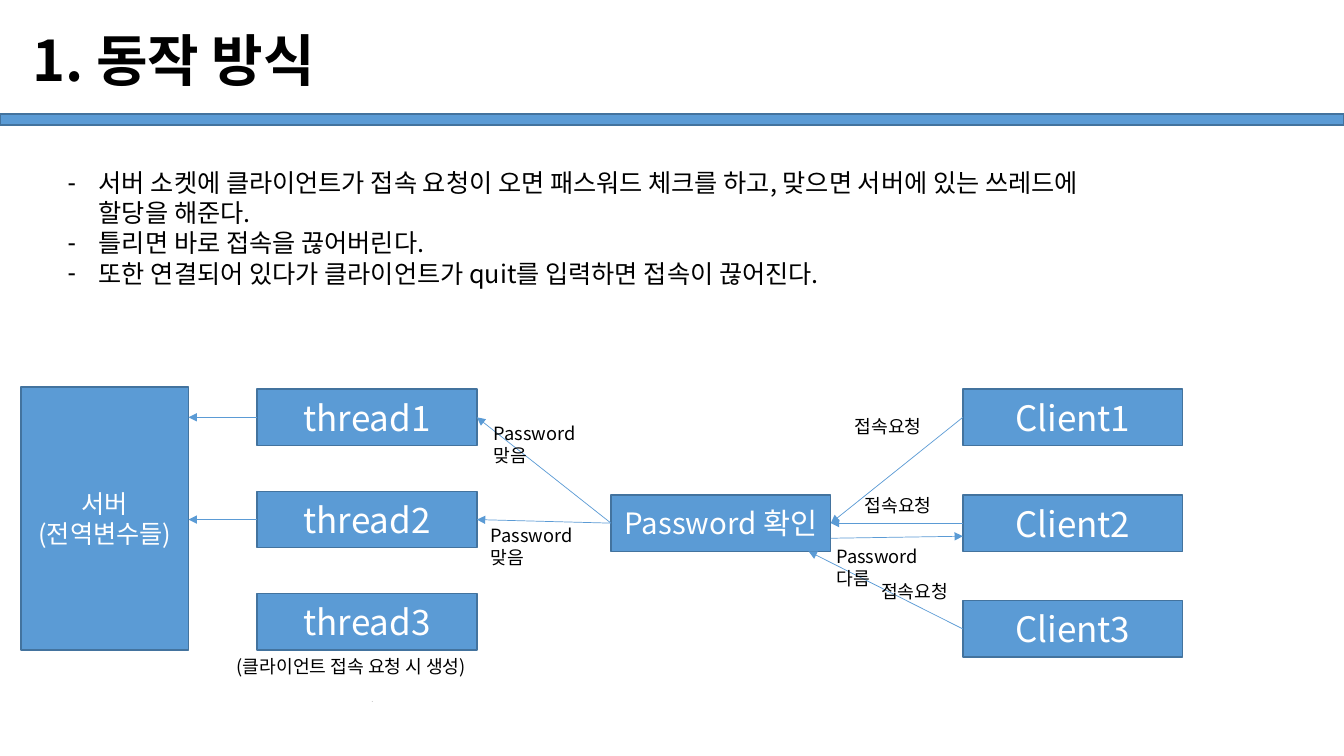
from dataclasses import dataclass

from lxml import etree
from pptx import Presentation
from pptx.dml.color import RGBColor
from pptx.enum.shapes import MSO_CONNECTOR, MSO_SHAPE
from pptx.enum.text import MSO_ANCHOR, MSO_AUTO_SIZE, PP_ALIGN
from pptx.oxml.ns import qn
from pptx.util import Inches, Pt

RECTANGLE = MSO_SHAPE.RECTANGLE
STRAIGHT = MSO_CONNECTOR.STRAIGHT
LEFT, CENTER = PP_ALIGN.LEFT, PP_ALIGN.CENTER
TOP, MIDDLE = MSO_ANCHOR.TOP, MSO_ANCHOR.MIDDLE
NO_AUTOFIT = MSO_AUTO_SIZE.NONE


@dataclass(frozen=True)
class Theme:
    font: str = "Noto Sans CJK KR"
    ink: RGBColor = RGBColor(0, 0, 0)
    paper: RGBColor = RGBColor(255, 255, 255)
    accent: RGBColor = RGBColor(0x5B, 0x9B, 0xD5)
    border: RGBColor = RGBColor(0x43, 0x73, 0x9E)
    title: int = 40
    node: int = 25
    check: int = 21
    body: int = 18
    label: int = 13
    mark: int = 1
    leading: float = 1.2


THEME = Theme()
NODE_WIDTH, NODE_HEIGHT = 2.18, 0.56
NODE_TOP = 3.86
THREAD_LEFT, THREAD_STEP = 2.55, 1.015
CLIENT_LEFT, CLIENT_STEP = 9.55, 1.05
CHECK_LEFT, CHECK_TOP = 6.06, 4.91
SERVER_LEFT, SERVER_WIDTH = 0.21, 1.66


def place(shape, left, top, width, height):
    shape.left, shape.top = Inches(left), Inches(top)
    shape.width, shape.height = Inches(width), Inches(height)


def write_line(paragraph, text, size, color, bold=False):
    run = paragraph.add_run()
    run.text = text
    run.font.size = Pt(size)
    run.font.bold = bold
    run.font.color.rgb = color
    run.font.name = THEME.font
    east_asian = etree.SubElement(run.font._element, qn("a:ea"))
    east_asian.set("typeface", THEME.font)


def write(frame, lines, size, color, align=LEFT, anchor=TOP, wrap=True, bold=False):
    frame.word_wrap = wrap
    frame.auto_size = NO_AUTOFIT
    frame.vertical_anchor = anchor
    for index, line in enumerate(lines):
        paragraph = frame.add_paragraph() if index else frame.paragraphs[0]
        paragraph.alignment = align
        paragraph.space_before = paragraph.space_after = Pt(0)
        paragraph.line_spacing = Pt(round(size * THEME.leading, 1))
        for part_index, part in enumerate(line.split("\n")):
            if part_index:
                paragraph.add_line_break()
            write_line(paragraph, part, size, color, bold)


def add_dashes(frame):
    for paragraph in frame.paragraphs:
        properties = paragraph._p.get_or_add_pPr()
        properties.set("marL", str(Inches(0.31)))
        properties.set("indent", str(Inches(-0.31)))
        etree.SubElement(properties, qn("a:buChar")).set("char", "-")


def add_box(slide, left, top, width, height, lines=(), size=THEME.node):
    box = slide.shapes.add_shape(
        RECTANGLE, Inches(left), Inches(top), Inches(width), Inches(height))
    box.shadow.inherit = False
    box.fill.solid()
    box.fill.fore_color.rgb = THEME.accent
    box.line.color.rgb = THEME.border
    box.line.width = Pt(1)
    write(box.text_frame, lines, size, THEME.paper, CENTER, MIDDLE, wrap=False)


def add_label(slide, text, left, top, width, height=0.32, size=THEME.label):
    label = slide.shapes.add_textbox(
        Inches(left), Inches(top), Inches(width), Inches(height))
    write(label.text_frame, [text], size, THEME.ink)


def add_arrow(slide, start, end):
    arrow = slide.shapes.add_connector(
        STRAIGHT, *(Inches(value) for value in (*start, *end)))
    arrow.line.color.rgb = THEME.accent
    arrow.line.width = Pt(0.5)
    outline = arrow.line._get_or_add_ln()
    etree.SubElement(outline, qn("a:tailEnd")).set("type", "triangle")
    etree.SubElement(arrow._element.spPr, qn("a:effectLst"))


def add_heading(slide):
    add_box(slide, 0, 1.13, 13.33, 0.11)
    title, body = slide.placeholders
    place(title, 0.22, 0.2, 4.06, 0.77)
    write(title.text_frame, ["1. 동작 방식"], THEME.title, THEME.ink, bold=True)
    place(body, 0.57, 1.61, 11.68, 1.62)
    write(body.text_frame, [
        "서버 소켓에 클라이언트가 접속 요청이 오면 패스워드 체크를 하고, "
        "맞으면 서버에 있는 쓰레드에\n할당을 해준다.",
        "틀리면 바로 접속을 끊어버린다.",
        "또한 연결되어 있다가 클라이언트가 quit를 입력하면 접속이 끊어진다.",
    ], THEME.body, THEME.ink)
    add_dashes(body.text_frame)


def add_nodes(slide):
    add_box(slide, SERVER_LEFT, 3.84, SERVER_WIDTH, 2.61,
            ["서버", "(전역변수들)"], THEME.body)
    add_box(slide, CHECK_LEFT, CHECK_TOP, NODE_WIDTH, NODE_HEIGHT,
            ["Password 확인"], THEME.check)
    for name, left, step in (("thread", THREAD_LEFT, THREAD_STEP),
                             ("Client", CLIENT_LEFT, CLIENT_STEP)):
        for index in range(3):
            add_box(slide, left, NODE_TOP + index * step,
                    NODE_WIDTH, NODE_HEIGHT, [f"{name}{index + 1}"])


def add_flows(slide):
    first_middle = NODE_TOP + NODE_HEIGHT / 2
    check_middle = CHECK_TOP + NODE_HEIGHT / 2
    check_right = CHECK_LEFT + NODE_WIDTH
    request_ends = ((check_right, check_middle), (check_right, check_middle),
                    (8.02, CHECK_TOP + NODE_HEIGHT))
    for index, request_end in enumerate(request_ends):
        client_middle = first_middle + index * CLIENT_STEP
        add_arrow(slide, (CLIENT_LEFT, client_middle), request_end)
    add_arrow(slide, (check_right, 5.34), (CLIENT_LEFT, 5.32))
    for index in range(2):
        thread_middle = first_middle + index * THREAD_STEP
        add_arrow(slide, (CHECK_LEFT, check_middle),
                  (THREAD_LEFT + NODE_WIDTH, thread_middle))
        add_arrow(slide, (THREAD_LEFT, thread_middle),
                  (SERVER_LEFT + SERVER_WIDTH, thread_middle))


def add_labels(slide):
    for left, top in ((8.38, 4.07), (8.48, 4.85), (8.64, 5.71)):
        add_label(slide, "접속요청", left, top, 1.04)
    for text, left, top in (("Password 맞음", 4.8, 4.14),
                            ("Password 맞음", 4.77, 5.15),
                            ("Password 다름", 8.2, 5.36)):
        add_label(slide, text, left, top, 1.1, 0.54)
    add_label(slide, "(클라이언트 접속 요청 시 생성)", 2.25, 6.45, 3.61)
    add_label(slide, "3", 3.59, 6.91, 2.14, 0.12, THEME.mark)


def main():
    deck = Presentation()
    deck.slide_width, deck.slide_height = Inches(13.33), Inches(7.5)
    slide = deck.slides.add_slide(deck.slide_layouts[1])
    add_heading(slide)
    add_nodes(slide)
    add_flows(slide)
    add_labels(slide)
    deck.save("out.pptx")


if __name__ == "__main__":
    main()
